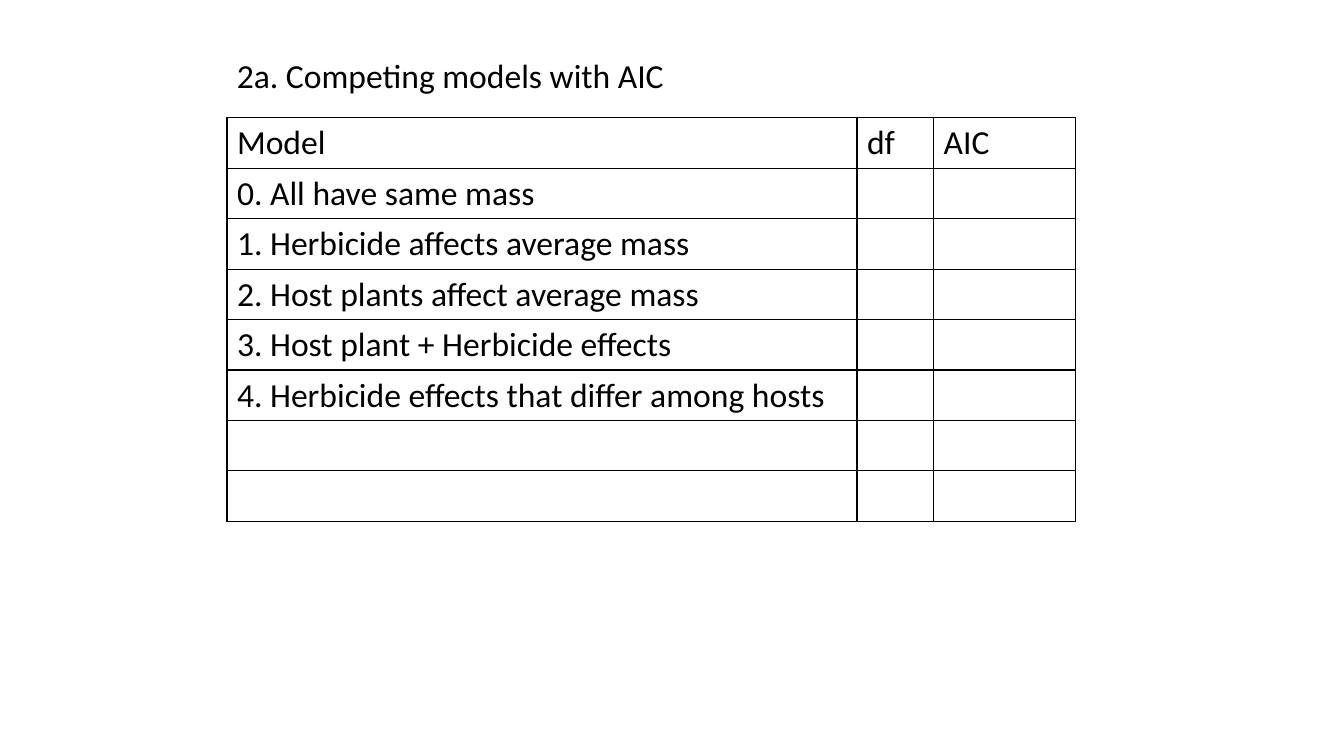
from lxml import etree
from pptx import Presentation
from pptx.dml.color import RGBColor
from pptx.enum.text import MSO_AUTO_SIZE as AutoSize
from pptx.oxml.ns import qn
from pptx.util import Cm, Pt

BLACK = RGBColor(0x00, 0x00, 0x00)
WHITE = RGBColor(0xFF, 0xFF, 0xFF)
FONT = "Calibri"
TEXT_SIZE = Pt(24)
BORDER_WIDTH = Pt(1)

TITLE = "2a. Competing models with AIC"
HEADINGS = ["Model", "df", "AIC"]
MODELS = [
    "0. All have same mass",
    "1. Herbicide affects average mass",
    "2. Host plants affect average mass",
    "3. Host plant + Herbicide effects",
    "4. Herbicide effects that differ among hosts",
]
SPARE_ROWS = 2
COLUMN_SHARES = [6.25, 0.76, 1.41]


def write(frame, text):
    frame.text = text
    for span in frame.paragraphs[0].runs:
        span.font.name = FONT
        span.font.size = TEXT_SIZE
        span.font.color.rgb = BLACK


def outline_cell(cell):
    properties = cell._tc.get_or_add_tcPr()
    for position, side in enumerate(["lnL", "lnR", "lnT", "lnB"]):
        line = etree.Element(qn(f"a:{side}"), w=str(BORDER_WIDTH))
        fill = etree.SubElement(line, qn("a:solidFill"))
        etree.SubElement(fill, qn("a:srgbClr"), val=str(BLACK))
        properties.insert(position, line)


def add_title(page, left, top, width, height):
    box = page.shapes.add_textbox(left, top, width, height)
    box.text_frame.word_wrap = False
    box.text_frame.auto_size = AutoSize.SHAPE_TO_FIT_TEXT
    write(box.text_frame, TITLE)


def add_model_table(page, left, top, width, height):
    """Headings, one row per model, then spare rows to fill in."""
    labels = MODELS + [""] * SPARE_ROWS
    rows = [HEADINGS] + [[label, "", ""] for label in labels]
    table = page.shapes.add_table(
        len(rows), len(HEADINGS), left, top, width, height).table
    for column, share in zip(table.columns, COLUMN_SHARES):
        column.width = int(width * share / sum(COLUMN_SHARES))
    for row, texts in zip(table.rows, rows):
        row.height = height // len(rows)
        for cell, text in zip(row.cells, texts):
            cell.fill.solid()
            cell.fill.fore_color.rgb = WHITE
            outline_cell(cell)
            if text:
                write(cell.text_frame, text)
                cell.text_frame.paragraphs[0].runs[0].font.bold = False


def main():
    deck = Presentation()
    deck.slide_width, deck.slide_height = Cm(33.87), Cm(19.05)
    page = deck.slides.add_slide(deck.slide_layouts[6])
    left = Cm(5.72)
    add_title(page, left, Cm(1.27), Cm(11.35), Cm(1.27))
    add_model_table(page, left, Cm(2.97), Cm(21.39), Cm(10.16))
    deck.save("out.pptx")


if __name__ == "__main__":
    main()
